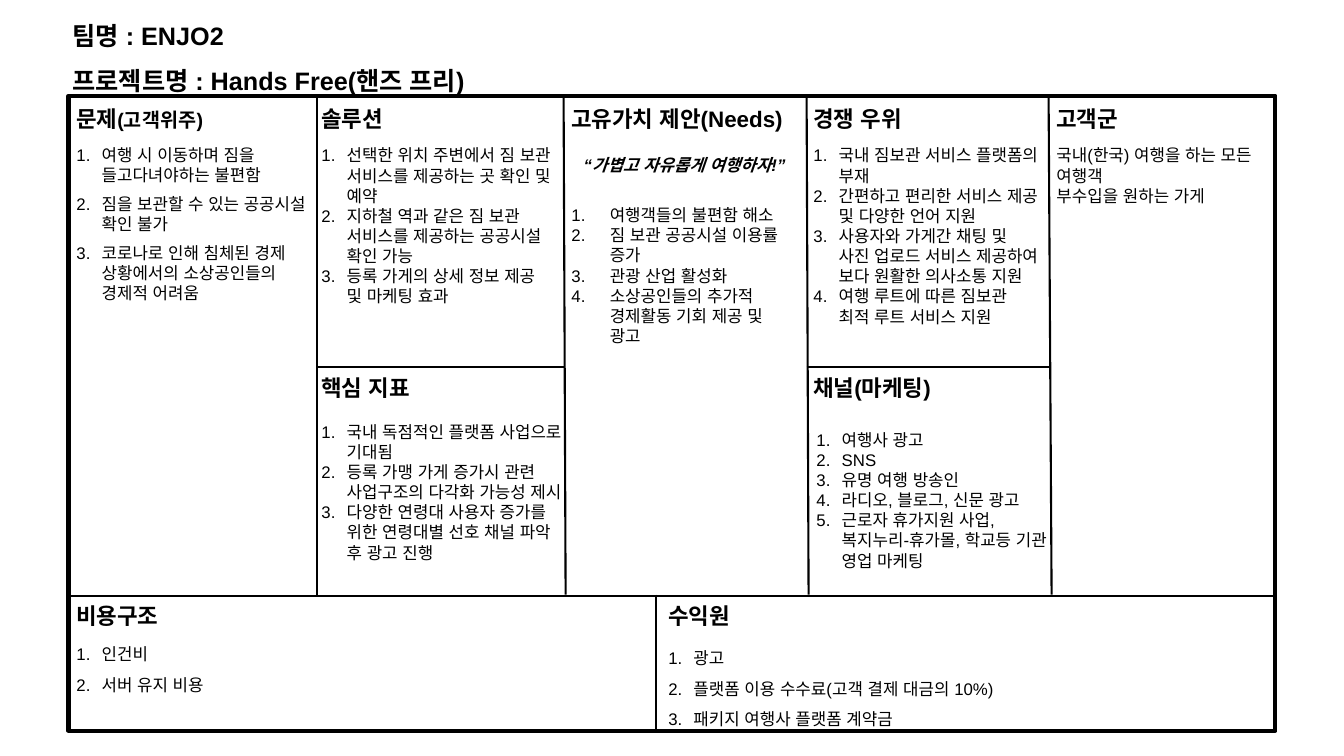
from pptx import Presentation
from pptx.dml.color import RGBColor
from pptx.enum.lang import MSO_LANGUAGE_ID
from pptx.enum.shapes import MSO_CONNECTOR, MSO_SHAPE
from pptx.enum.text import MSO_AUTO_SIZE, PP_ALIGN
from pptx.oxml.ns import qn
from pptx.util import Inches, Pt
from lxml import etree

KOREAN = MSO_LANGUAGE_ID.KOREAN
STRAIGHT = MSO_CONNECTOR.STRAIGHT
RECTANGLE = MSO_SHAPE.RECTANGLE
FIT = MSO_AUTO_SIZE.SHAPE_TO_FIT_TEXT
CENTER = PP_ALIGN.CENTER

COLORS = {"ink": "000000"}
FONT = "Arial"
TITLE_SIZE, HEADING_SIZE, NOTE_SIZE, BODY_SIZE = 18, 16, 14, 12

# Canvas geometry in inches
LEFT, TOP, WIDTH, HEIGHT = 0.68, 0.95, 11.97, 6.3
RIGHT, BOTTOM = LEFT + WIDTH, TOP + HEIGHT
MIDDLE, FLOOR, COST_SPLIT = 3.64, 5.9, 6.51
DIVIDERS = [(3.14, 3.14), (5.59, 5.61), (8, 8.02), (10.4, 10.43)]  # x at top, at floor
PROBLEM, SOLUTION, VALUE, EDGE, CUSTOMER = 0.66, 3.09, 5.57, 7.97, 10.38
REVENUE = 6.53
ROW_TOP, ROW_MIDDLE, ROW_COST = 0.99, 3.66, 5.92
BODY_TOP, HEADING_HEIGHT = 1.39, 0.37

TITLES = ["팀명 : ENJO2", "프로젝트명 : Hands Free(핸즈 프리)"]
SLOGAN = "“가볍고 자유롭게 여행하자!”"

# left, top, width, heading, smaller note
HEADINGS = [
    (PROBLEM, ROW_TOP, 1.8, "문제", "(고객위주)"),
    (SOLUTION, ROW_TOP, 1.11, "솔루션", ""),
    (VALUE, ROW_TOP, 2.45, "고유가치 제안(Needs)", ""),
    (EDGE, ROW_TOP, 1.33, "경쟁 우위", ""),
    (CUSTOMER, ROW_TOP, 1.1, "고객군", ""),
    (SOLUTION, ROW_MIDDLE, 2.48, "핵심 지표", ""),
    (EDGE, ROW_MIDDLE, 1.64, "채널(마케팅)", ""),
    (PROBLEM, ROW_COST, 1.32, "비용구조", ""),
    (REVENUE, ROW_COST, 1.2, "수익원", ""),
]

# position (left, top, width, height), paragraph style, items
BODIES = [
    ((PROBLEM, BODY_TOP, 2.58, 1.97), {"indent": 0.25, "before": 6}, [
        "여행 시 이동하며 짐을 들고다녀야하는 불편함",
        "짐을 보관할 수 있는 공공시설 확인 불가",
        "코로나로 인해 침체된 경제 상황에서의 소상공인들의 경제적 어려움"]),
    ((SOLUTION, BODY_TOP, 2.49, 1.72), {"indent": 0.25}, [
        "선택한 위치 주변에서 짐 보관 서비스를 제공하는 곳 확인 및 예약",
        "지하철 역과 같은 짐 보관 서비스를 제공하는 공공시설 확인 가능",
        "등록 가게의 상세 정보 제공 및 마케팅 효과"]),
    ((VALUE, BODY_TOP, 2.44, 2.12), {"indent": 0.38, "slogan": SLOGAN}, [
        "여행객들의 불편함 해소",
        "짐 보관 공공시설 이용률 증가",
        "관광 산업 활성화",
        "소상공인들의 추가적 경제활동 기회 제공 및\n광고"]),
    ((EDGE, BODY_TOP, 2.46, 2.12), {"indent": 0.25}, [
        "국내 짐보관 서비스 플랫폼의 부재",
        "간편하고 편리한 서비스 제공 및 다양한 언어 지원",
        "사용자와 가게간 채팅 및 사진 업로드 서비스 제공하여 보다 원활한 의사소통 지원",
        "여행 루트에 따른 짐보관 최적 루트 서비스 지원"]),
    ((CUSTOMER, BODY_TOP, 2.29, 0.71), {}, [
        "국내(한국) 여행을 하는 모든 여행객",
        "부수입을 원하는 가게"]),
    ((SOLUTION, 4.13, 2.58, 1.72), {"indent": 0.25}, [
        "국내 독점적인 플랫폼 사업으로 기대됨",
        "등록 가맹 가게 증가시 관련 사업구조의 다각화 가능성 제시",
        "다양한 연령대 사용자 증가를 위한 연령대별 선호 채널 파악 후 광고 진행"]),
    ((8, 4.21, 2.5, 1.51), {"indent": 0.25}, [
        "여행사 광고",
        "SNS",
        "유명 여행 방송인",
        "라디오, 블로그, 신문 광고",
        "근로자 휴가지원 사업, 복지누리-휴가몰, 학교등 기관 영업 마케팅"]),
    ((PROBLEM, 6.24, 5.81, 0.67), {"indent": 0.25, "spacing": 1.5}, [
        "인건비",
        "서버 유지 비용"]),
    ((REVENUE, 6.28, 6.1, 0.97), {"indent": 0.25, "spacing": 1.5}, [
        "광고",
        "플랫폼 이용 수수료(고객 결제 대금의 10%)",
        "패키지 여행사 플랫폼 계약금"]),
]


def add_text_frame(page, left, top, width, height):
    """Add a wrapping text box and return its text frame."""
    box = page.shapes.add_textbox(Inches(left), Inches(top), Inches(width), Inches(height))
    frame = box.text_frame
    frame.word_wrap = True
    frame.auto_size = FIT
    return frame


def next_paragraph(frame):
    """Return the first paragraph while it is unused, else a new one."""
    first = frame.paragraphs[0]
    return frame.add_paragraph() if first.runs else first


def add_span(para, text, size, bold=False, italic=False):
    """Add text in the slide's font, with line breaks at newlines."""
    for index, line in enumerate(text.split("\n")):
        if index:
            para.add_line_break()
        span = para.add_run()
        span.text = line
        font = span.font
        font.name, font.size, font.bold, font.italic = FONT, Pt(size), bold, italic
        font.language_id = KOREAN
        font.color.rgb = RGBColor.from_string(COLORS["ink"])
        etree.SubElement(span._r.get_or_add_rPr(), qn("a:ea"), typeface=FONT)


def number_paragraph(para, indent):
    """Give a paragraph a hanging indent and automatic numbering."""
    properties = para._p.get_or_add_pPr()
    properties.set("marL", str(Inches(indent)))
    properties.set("indent", str(-Inches(indent)))
    etree.SubElement(properties, qn("a:buAutoNum"), type="arabicPeriod")


def add_body(page, position, style, items):
    """Add one canvas cell's slogan and items."""
    frame = add_text_frame(page, *position)
    if "slogan" in style:
        para = next_paragraph(frame)
        para.alignment, para.line_spacing, para.space_after = CENTER, 1.5, Pt(21)
        add_span(para, style["slogan"], BODY_SIZE, bold=True, italic=True)
    for item in items:
        para = next_paragraph(frame)
        para.line_spacing = style.get("spacing", 1.0)
        para.space_before = Pt(style.get("before", 0))
        if "indent" in style:
            number_paragraph(para, style["indent"])
        add_span(para, item, BODY_SIZE)


def add_rule(page, x1, y1, x2, y2):
    """Draw a thin canvas divider."""
    rule = page.shapes.add_connector(STRAIGHT, Inches(x1), Inches(y1), Inches(x2), Inches(y2))
    rule.line.color.rgb = RGBColor.from_string(COLORS["ink"])
    rule.line.width = Pt(1.5)
    etree.SubElement(rule._element.spPr, qn("a:effectLst"))


deck = Presentation()
deck.slide_width, deck.slide_height = Inches(13.33), Inches(7.5)
page = deck.slides.add_slide(deck.slide_layouts[6])

title_frame = add_text_frame(page, 0.62, 0, 7.95, 0.95)
for title in TITLES:
    para = next_paragraph(title_frame)
    para.line_spacing = 1.5
    add_span(para, title, TITLE_SIZE, bold=True)

border = page.shapes.add_shape(RECTANGLE, Inches(LEFT), Inches(TOP), Inches(WIDTH), Inches(HEIGHT))
border.shadow.inherit = False
border.fill.background()
border.line.color.rgb = RGBColor.from_string(COLORS["ink"])
border.line.width = Pt(3)

add_rule(page, LEFT, FLOOR + 0.01, RIGHT, FLOOR + 0.01)
for top_x, floor_x in DIVIDERS:
    add_rule(page, top_x, TOP, floor_x, FLOOR)
for start, end in (DIVIDERS[:2], DIVIDERS[2:]):
    add_rule(page, start[0], MIDDLE, end[0] + 0.01, MIDDLE)
add_rule(page, COST_SPLIT, FLOOR, COST_SPLIT, BOTTOM)

for left, top, width, heading, note in HEADINGS:
    para = next_paragraph(add_text_frame(page, left, top, width, HEADING_HEIGHT))
    add_span(para, heading, HEADING_SIZE, bold=True)
    if note:
        add_span(para, note, NOTE_SIZE, bold=True)

for position, style, items in BODIES:
    add_body(page, position, style, items)

deck.save("out.pptx")
